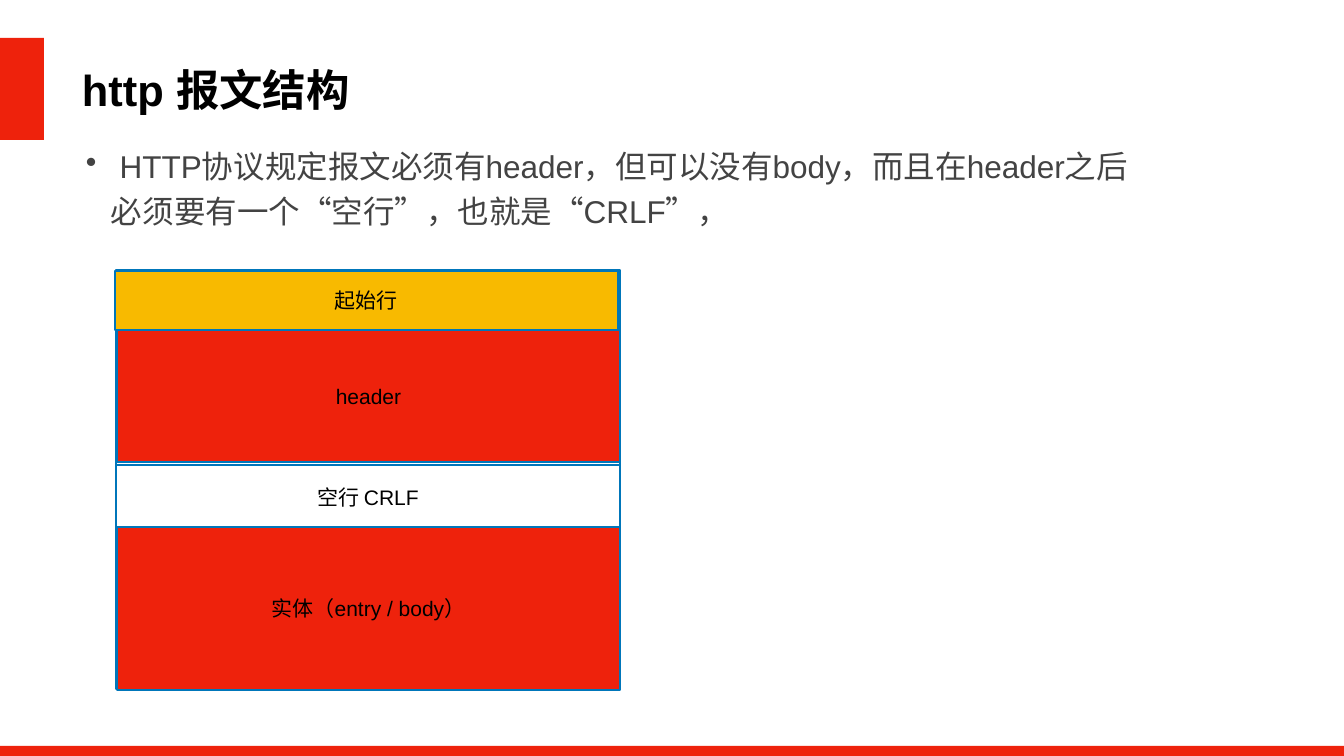
from lxml import etree
from pptx import Presentation
from pptx.dml.color import RGBColor
from pptx.enum.shapes import MSO_CONNECTOR, MSO_SHAPE
from pptx.enum.text import MSO_ANCHOR, PP_ALIGN
from pptx.oxml.ns import qn
from pptx.util import Pt

RECTANGLE, STRAIGHT = MSO_SHAPE.RECTANGLE, MSO_CONNECTOR.STRAIGHT
MIDDLE, LEFT, CENTER = MSO_ANCHOR.MIDDLE, PP_ALIGN.LEFT, PP_ALIGN.CENTER

# Content
TITLE = "http 报文结构"
RULE = " HTTP协议规定报文必须有header，但可以没有body，而且在header之后必须要有一个“空行”，也就是“CRLF”，"
RED, YELLOW, WHITE, BLUE = "EE220C", "F8BA00", "FFFFFF", "0076BA"
BLACK, GREY = "000000", "434343"

# Message parts: text, fill, (left, top, width, height)
PARTS = [
    ("起始行", YELLOW, (115, 271, 503, 59)),
    ("header", RED, (117, 330, 503, 132)),
    ("空行 CRLF", WHITE, (116, 465, 504, 65)),
    ("实体（entry / body）", RED, (117, 527, 503, 163)),
]
FRAME = (116, 270, 504, 419)
ACCENTS = [(0, 38, 44, 102), (0, 746, 1344, 10)]

TITLE_FORMAT = {"size": Pt(62), "name": "Arial", "bold": True}
RULE_FORMAT = {"size": Pt(45), "name": "Arial"}
LABEL_FORMAT = {"size": Pt(30), "name": "Arial"}
WIDTH, HEIGHT, INSET, INDENT = 1344, 756, 3, 25
SCALE = 18143  # EMU in one px


def px(value):
    return value * SCALE


def color(code):
    return RGBColor.from_string(code)


def outline(item):
    item.line.color.rgb = color(BLUE)
    item.line.width = Pt(2)


def add_block(page, area, fill, outlined=False):
    block = page.shapes.add_shape(RECTANGLE, *map(px, area))
    block.shadow.inherit = False
    block.fill.solid()
    block.fill.fore_color.rgb = color(fill)
    if outlined:
        outline(block)
    else:
        block.line.fill.background()
    return block


def write(box, text, formats, ink, align=LEFT, bullet=False):
    frame = box.text_frame
    frame.word_wrap = True
    frame.vertical_anchor = MIDDLE
    for side in ("left", "top", "right", "bottom"):
        setattr(frame, f"margin_{side}", px(INSET))
    para = frame.paragraphs[0]
    para.alignment = align
    if bullet:
        para.line_spacing = 1.2
        properties = para._p.get_or_add_pPr()
        properties.set("marL", str(px(INDENT)))
        properties.set("indent", str(-px(INDENT)))
        etree.SubElement(properties, qn("a:buChar")).set("char", "•")
    span = para.add_run()
    span.text = text
    for key, value in formats.items():
        setattr(span.font, key, value)
    span.font.color.rgb = color(ink)


def main():
    deck = Presentation()
    deck.slide_width, deck.slide_height = px(WIDTH), px(HEIGHT)
    page = deck.slides.add_slide(deck.slide_layouts[6])

    # Title, accents and rule
    title = page.shapes.add_textbox(*map(px, (79, 56, 1112, 67)))
    write(title, TITLE, TITLE_FORMAT, BLACK)
    for area in ACCENTS:
        add_block(page, area, RED)
    rule = page.shapes.add_textbox(*map(px, (83, 133, 1065, 103)))
    write(rule, RULE, RULE_FORMAT, GREY, bullet=True)

    # Message frame and its divider
    add_block(page, FRAME, WHITE, outlined=True)
    divider = page.shapes.add_connector(STRAIGHT, *map(px, (116, 329, 621, 329)))
    outline(divider)
    etree.SubElement(divider._element.spPr, qn("a:effectLst"))

    # Message parts
    for text, fill, area in PARTS:
        block = add_block(page, area, fill, outlined=True)
        write(block, text, LABEL_FORMAT, BLACK, align=CENTER)

    deck.save("out.pptx")


if __name__ == "__main__":
    main()
